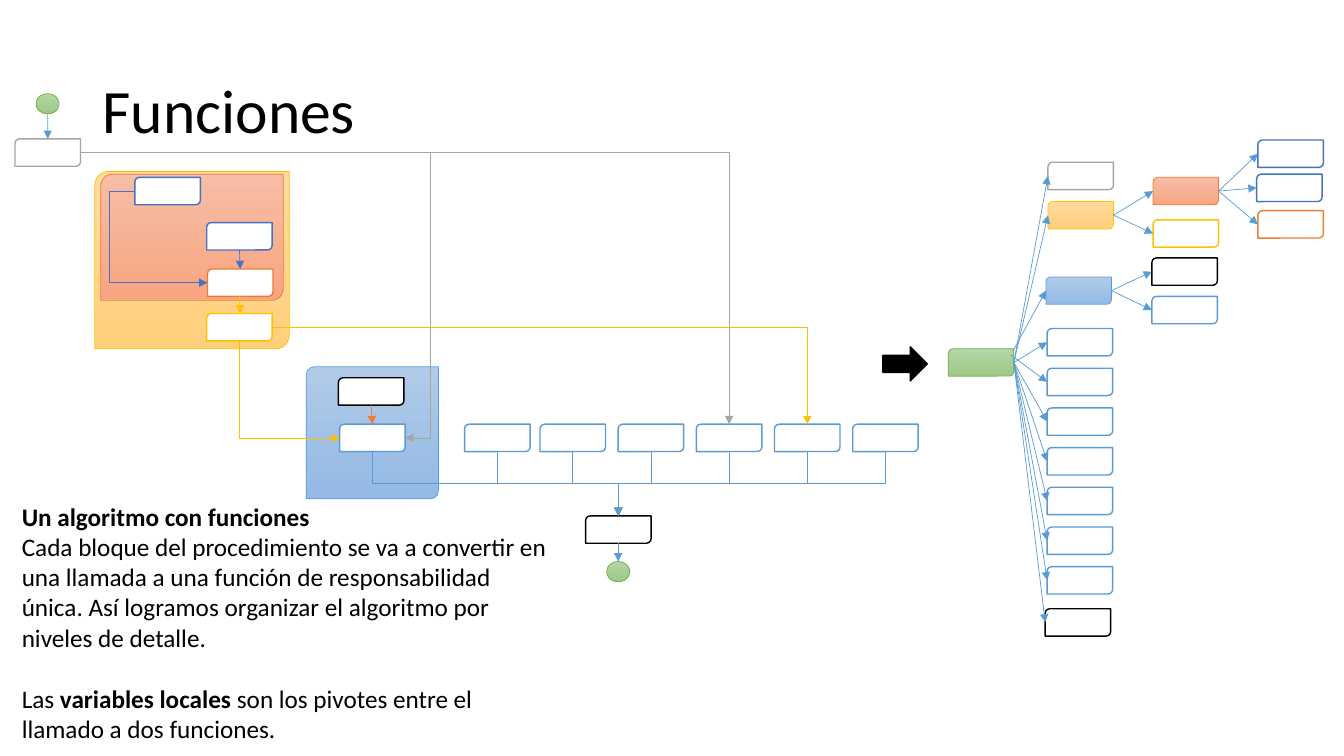
from lxml.etree import SubElement
from pptx import Presentation
from pptx.dml.color import RGBColor
from pptx.enum.shapes import MSO_CONNECTOR, MSO_SHAPE
from pptx.enum.text import MSO_ANCHOR, MSO_AUTO_SIZE, PP_ALIGN
from pptx.oxml.ns import qn
from pptx.util import Cm, Pt

BLUE, NAVY, ORANGE, GOLD = "5B9BD5", "4472C4", "ED7D31", "FFC000"
GREEN, GRAY, BLACK, WHITE = "70AD47", "A5A5A5", "000000", "FFFFFF"
SHADES = {
    BLUE: ("B1CBE9", "93B9E4"),
    GOLD: ("FFDB9E", "FFD07C"),
    ORANGE: ("F7BDA5", "F8A582"),
    GREEN: ("B5D5A7", "9CC987"),
}
BLOCK = (1.65, 0.69)
DOT = (0.58, 0.51)
SIDES = {
    "right": (0, 1, 0.5),
    "bottom": (1, 0.5, 1),
    "left": (2, 0, 0.5),
    "top": (3, 0.5, 0),
}


def rgb(value):
    return RGBColor.from_string(value)


def draw(slide, origin, kind, offset, size, color, fill=None):
    left, top = (Cm(a + b) for a, b in zip(origin, offset))
    figure = slide.shapes.add_shape(kind, left, top, *map(Cm, size))
    figure.shadow.inherit = False
    figure.line.color.rgb = rgb(color)
    if fill:
        figure.fill.solid()
        figure.fill.fore_color.rgb = rgb(fill)
        figure.line.width = Pt(1)
    else:
        figure.fill.gradient()
        figure.fill.gradient_angle = 270
        for stop, shade in zip(figure.fill.gradient_stops, SHADES[color]):
            stop.color.rgb = rgb(shade)
        figure.line.width = Pt(0.5)
    return figure


def block(slide, origin, offset, color, fill=WHITE, size=BLOCK):
    return draw(slide, origin, MSO_SHAPE.ROUND_2_DIAG_RECTANGLE, offset, size, color, fill)


def side_point(figure, side):
    _, across, down = SIDES[side]
    return (int(figure.left + figure.width * across),
            int(figure.top + figure.height * down))


def link(slide, begin, end, color, bends=0, bend_at=None):
    start, begin_side = begin
    target, end_side = end
    x1, y1 = side_point(start, begin_side) if begin_side else start
    x2, y2 = side_point(target, end_side)
    kind = MSO_CONNECTOR.ELBOW if bends else MSO_CONNECTOR.STRAIGHT
    arrow = slide.shapes.add_connector(kind, x1, y1, x2, y2)
    if begin_side:
        arrow.begin_connect(start, SIDES[begin_side][0])
    arrow.end_connect(target, SIDES[end_side][0])

    properties = arrow.element.spPr
    frame = properties.find(qn("a:xfrm"))
    width, height = abs(x2 - x1), abs(y2 - y1)
    turned = bends and begin_side == "bottom"
    if turned:
        frame.rot = 270 if x2 > x1 else 90
        width, height = height, width
    frame.flipH = bool(turned and x2 > x1)
    frame.flipV = not bends and y2 < y1
    arrow.left, arrow.top = (x1 + x2 - width) // 2, (y1 + y2 - height) // 2
    arrow.width, arrow.height = width, height
    if bends:
        geometry = properties.find(qn("a:prstGeom"))
        geometry.set("prst", f"bentConnector{bends + 1}")
        if bend_at is not None:
            SubElement(geometry.find(qn("a:avLst")), qn("a:gd"),
                       name="adj1", fmla=f"val {round(bend_at * 100000)}")

    arrow.line.color.rgb = rgb(color)
    arrow.line.width = Pt(0.5)
    SubElement(properties.find(qn("a:ln")), qn("a:tailEnd"), type="triangle")
    SubElement(properties, qn("a:effectLst"))


def heading(slide, left, top, width, height):
    title = slide.shapes.title
    title.left, title.top, title.width, title.height = map(Cm, (left, top, width, height))
    frame = title.text_frame
    frame.auto_size = MSO_AUTO_SIZE.NONE
    frame.vertical_anchor = MSO_ANCHOR.MIDDLE
    paragraph = frame.paragraphs[0]
    paragraph.alignment = PP_ALIGN.LEFT
    paragraph.line_spacing = 0.9
    write(paragraph, "Funciones", 44)


def write(paragraph, text, size, bold=False):
    run = paragraph.add_run()
    run.text = text
    run.font.name = "Calibri"
    run.font.size = Pt(size)
    run.font.bold = bold
    run.font.color.rgb = rgb(BLACK)


def procedure(slide, left, top):
    origin = (left, top)
    for offset, size, color, corner in (
        ((7.34, 6.88), (3.33, 3.33), BLUE, 0.062),
        ((2.01, 1.96), (4.9, 4.47), GOLD, 0.077),
        ((2.16, 2.03), (4.6, 3.18), ORANGE, 0.094),
    ):
        panel = block(slide, origin, offset, color, None, size)
        panel.adjustments[0] = corner

    finish = draw(slide, origin, MSO_SHAPE.OVAL, (14.91, 11.79), DOT, GREEN)
    start = draw(slide, origin, MSO_SHAPE.OVAL, (0.53, 0), DOT, GREEN)
    entry = block(slide, origin, (0, 1.14), GRAY)
    outer = block(slide, origin, (3.02, 2.11), NAVY)
    inner = block(slide, origin, (4.83, 3.25), NAVY)
    joined = block(slide, origin, (4.85, 4.42), ORANGE)
    result = block(slide, origin, (4.83, 5.54), GOLD)
    setup = block(slide, origin, (8.15, 7.16), BLACK)
    merge = block(slide, origin, (8.18, 8.33), BLUE)
    steps = [block(slide, origin, (x, 8.33), BLUE)
             for x in [11.33] + [13.23 + 1.97 * i for i in range(5)]]
    output = block(slide, origin, (14.38, 10.64), BLACK)

    link(slide, (side_point(start, "bottom"), None), (entry, "top"), BLUE)
    for source, target, color in (
        (inner, joined, NAVY),
        (joined, result, GOLD),
        (setup, merge, ORANGE),
        (output, finish, BLUE),
    ):
        if target is finish:
            below = slide.shapes.add_connector
            finish_link(slide, source, target, color)
        else:
            link(slide, (source, "bottom"), (target, "top"), color)

    link(slide, (entry, "right"), (merge, "right"), GRAY, 2, 1.078)
    link(slide, (result, "bottom"), (merge, "left"), GOLD, 1)
    link(slide, (outer, "left"), (joined, "left"), NAVY, 2, -0.347)
    link(slide, (entry, "right"), (steps[3], "top"), GRAY, 1)
    link(slide, (result, "right"), (steps[4], "top"), GOLD, 1)
    for step in [merge] + steps:
        link(slide, (step, "bottom"), (output, "top"), BLUE, 2)


def finish_link(slide, source, target, color):
    link(slide, (source, "bottom"), (target, "top"), color)
    slide.shapes[-1].end_connect(target, 0)


def branches(slide, parent, children):
    for child in children:
        link(slide, (parent, "right"), (child, "left"), BLUE)


def call_tree(slide, left, top):
    origin = (left, top)
    root = block(slide, origin, (0, 5.26), GREEN, None)
    entry = block(slide, origin, (2.51, 0.56), GRAY)
    gold = block(slide, origin, (2.51, 1.55), GOLD, None)
    blue = block(slide, origin, (2.46, 3.45), BLUE, None)
    calls = [block(slide, origin, (2.49, 4.75 + i), BLUE) for i in range(7)]
    output = block(slide, origin, (2.44, 11.81), BLACK)
    orange = block(slide, origin, (5.16, 0.94), ORANGE, None)
    result = block(slide, origin, (5.16, 2.01), GOLD)
    leaves = [block(slide, origin, offset, color) for offset, color in (
        ((7.8, 0), NAVY), ((7.77, 0.86), NAVY), ((7.8, 1.78), ORANGE))]
    details = [block(slide, origin, offset, color) for offset, color in (
        ((5.13, 2.97), BLACK), ((5.13, 3.94), BLUE))]

    branches(slide, root, [entry, gold, calls[0], *calls[2:], output])
    for offset, child in (((1.63, 5.31), blue), ((1.57, 5.41), calls[1])):
        corner = tuple(Cm(a + b) for a, b in zip(origin, offset))
        link(slide, (corner, None), (child, "left"), BLUE)
    branches(slide, orange, leaves)
    branches(slide, gold, [orange, result])
    branches(slide, blue, details)


def explanation(slide, left, top, width, height):
    frame = slide.shapes.add_textbox(*map(Cm, (left, top, width, height))).text_frame
    frame.word_wrap = True
    frame.auto_size = MSO_AUTO_SIZE.SHAPE_TO_FIT_TEXT
    lines = (
        (("Un algoritmo con funciones", True),),
        (("Cada bloque del procedimiento se va a convertir en una llamada a una función de "
          "responsabilidad única. Así logramos organizar el algoritmo por niveles de detalle.", False),),
        (("Las ", False), ("variables locales ", True),
         ("son los pivotes entre el llamado a dos funciones.", False)),
    )
    for index, runs in enumerate(lines):
        paragraph = frame.add_paragraph() if index else frame.paragraphs[0]
        for text, bold in runs:
            write(paragraph, text, 18, bold)
    paragraph.space_before = Pt(22)


def main():
    deck = Presentation()
    deck.slide_width, deck.slide_height = Cm(33.87), Cm(19.05)
    slide = deck.slides.add_slide(deck.slide_layouts[5])
    heading(slide, 2.33, 1.01, 29.21, 3.68)
    procedure(slide, 0.38, 2.36)
    draw(slide, (22.25, 8.74), MSO_SHAPE.RIGHT_ARROW, (0, 0), (1.12, 0.86), BLACK, BLACK)
    call_tree(slide, 23.9, 3.53)
    explanation(slide, 0.3, 12.5, 13.97, 6.4)
    deck.save("out.pptx")


if __name__ == "__main__":
    main()
